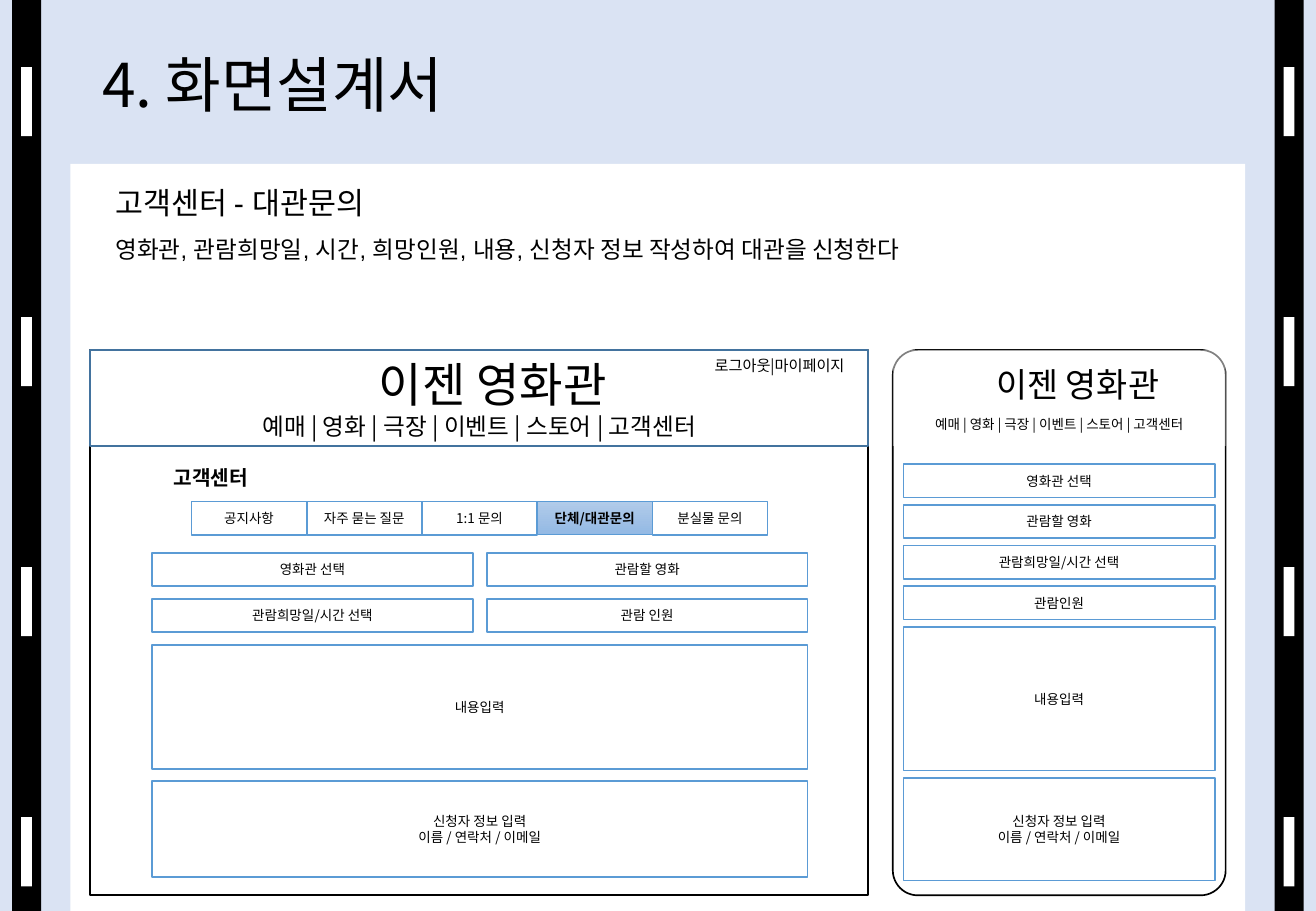
from dataclasses import dataclass

from lxml import etree
from pptx import Presentation
from pptx.dml.color import RGBColor
from pptx.enum.shapes import MSO_SHAPE
from pptx.enum.text import MSO_ANCHOR, PP_ALIGN
from pptx.oxml.ns import qn
from pptx.util import Pt

RECT = MSO_SHAPE.RECTANGLE
ROUND = MSO_SHAPE.ROUNDED_RECTANGLE
LEFT, CENTER = PP_ALIGN.LEFT, PP_ALIGN.CENTER
TOP, MIDDLE = MSO_ANCHOR.TOP, MSO_ANCHOR.MIDDLE


@dataclass(frozen=True)
class Theme:
    sky: str = "DAE3F3"
    black: str = "000000"
    white: str = "FFFFFF"
    blue: str = "5B9BD5"
    navy: str = "43739E"
    light: str = "B1CBE9"
    deep: str = "93B9E4"
    sans: str = "Noto Sans CJK KR"
    plain: str = "Arial"
    title: float = 35.8
    brand: float = 28
    phone: float = 20
    head: float = 18
    body: float = 14
    label: float = 12
    link: float = 9
    small: float = 8


theme = Theme()


def box(x, y, w, h, fill=None, line=None, kind=RECT):
    shape = slide.shapes.add_shape(kind, Pt(x), Pt(y), Pt(w), Pt(h))
    shape.shadow.inherit = False
    if fill:
        shape.fill.solid()
        shape.fill.fore_color.rgb = RGBColor.from_string(fill)
    else:
        shape.fill.background()
    if line:
        shape.line.color.rgb = RGBColor.from_string(line)
        shape.line.width = Pt(1)
    else:
        shape.line.fill.background()
    return shape


def write(shape, lines, align=CENTER, anchor=MIDDLE, face=theme.sans, bold=False):
    frame = shape.text_frame
    frame.word_wrap = True
    frame.vertical_anchor = anchor
    frame.margin_left = frame.margin_right = 0
    frame.margin_top = frame.margin_bottom = 0
    for i, (text, size) in enumerate(lines):
        para = frame.add_paragraph() if i else frame.paragraphs[0]
        para.alignment = align
        run = para.add_run()
        run.text = text
        font = run.font
        font.size = Pt(size)
        font.bold = bold
        font.color.rgb = RGBColor.from_string(theme.black)
        font.name = face
        east = etree.SubElement(run._r.get_or_add_rPr(), qn("a:ea"))
        east.set("typeface", theme.sans)
    return frame


deck = Presentation()
deck.slide_width, deck.slide_height = Pt(780), Pt(540)
slide = deck.slides.add_slide(deck.slide_layouts[6])
slide.background.fill.solid()
slide.background.fill.fore_color.rgb = RGBColor.from_string(theme.sky)

for strip in (7.2, 755.5):
    box(strip, 0, 17.3, 540, theme.black)
    for row in range(4):
        box(strip + 5.3, 39.8 + 148.2 * row, 6.5, 41, theme.white)

box(41.8, 97.2, 696.3, 442.8, theme.white)
for x, w, curve in ((53.5, 461, 0), (529.2, 197.3, 0.075)):
    frame = box(x, 207.4, w, 323.3, line=theme.black, kind=ROUND)
    frame.adjustments[0] = curve

texts = (
    (60.5, 0, 660, 104.4, "4. 화면설계서", theme.title, LEFT, MIDDLE, theme.sans, False),
    (92.2, 275.8, 65.5, 14.4, "고객센터", theme.label, CENTER, MIDDLE, theme.plain, True),
    (68.4, 109.4, 269.3, 25, "고객센터 - 대관문의", theme.head, LEFT, TOP, theme.plain, False),
    (68.4, 139, 651, 21,
     "영화관, 관람희망일, 시간, 희망인원, 내용, 신청자 정보 작성하여 대관을 신청한다",
     theme.body, LEFT, TOP, theme.plain, False),
)
for x, y, w, h, text, size, *style in texts:
    area = slide.shapes.add_textbox(Pt(x), Pt(y), Pt(w), Pt(h))
    frame = write(area, [(text, size)], *style)
    if size == theme.title:
        frame.paragraphs[0].line_spacing = 0.9

tabs = ("공지사항", "자주 묻는 질문", "1:1 문의", "단체/대관문의", "분실물 문의")
active = 3
for i, name in enumerate(tabs):
    tab = box(113.5 + 68.3 * i, 297.3, 68.3, 19.7, theme.white, theme.blue)
    if i == active:
        tab.fill.gradient()
        tab.fill.gradient_angle = 270
        for stop, color in zip(tab.fill.gradient_stops, (theme.light, theme.deep)):
            stop.color.rgb = RGBColor.from_string(color)
        tab.line.width = Pt(0.5)
    write(tab, [(name, theme.small)], bold=i == active)

fields = ("영화관 선택", "관람할 영화", "관람희망일/시간 선택")
web = fields + ("관람 인원",)
app = fields + ("관람인원",)
note = ("내용입력",)
user = ("신청자 정보 입력", "이름 / 연락처 / 이메일")
forms = [(90.2 + 198.4 * (i % 2), 327.7 + 27.3 * (i // 2), 190, 19.7, (name,))
         for i, name in enumerate(web)]
forms += [(535.5, 275.2 + 24.1 * i, 184.5, 19.7, (name,)) for i, name in enumerate(app)]
forms += [
    (90.2, 382.2, 388.4, 73.7, note),
    (90.2, 463, 388.4, 57, user),
    (535.5, 371.7, 184.5, 85, note),
    (535.5, 461, 184.5, 61, user),
]
for x, y, w, h, names in forms:
    write(box(x, y, w, h, theme.white, theme.blue), [(name, theme.small) for name in names])

menu = "예매 | 영화 | 극장 | 이벤트 | 스토어 | 고객센터"
heads = (
    (53.5, 461, theme.navy, theme.brand, theme.body, 16, 0),
    (529.2, 197.3, None, theme.phone, theme.small, 22, 7),
)
for x, w, line, big, low, shift, gap in heads:
    head = box(x, 207.4, w, 56.9, theme.white, line)
    color = head.fill._xPr.find(qn("a:solidFill"))[0]
    etree.SubElement(color, qn("a:alpha")).set("val", "50000")
    name, links = write(head, [("이젠 영화관", big), (menu, low)]).paragraphs
    name._p.get_or_add_pPr().set("marL", str(Pt(shift)))
    links.space_before = Pt(gap)

login = slide.shapes.add_textbox(Pt(373), Pt(209.5), Pt(178), Pt(14.4))
write(login, [("로그아웃|마이페이지", theme.link)])

deck.save("out.pptx")
